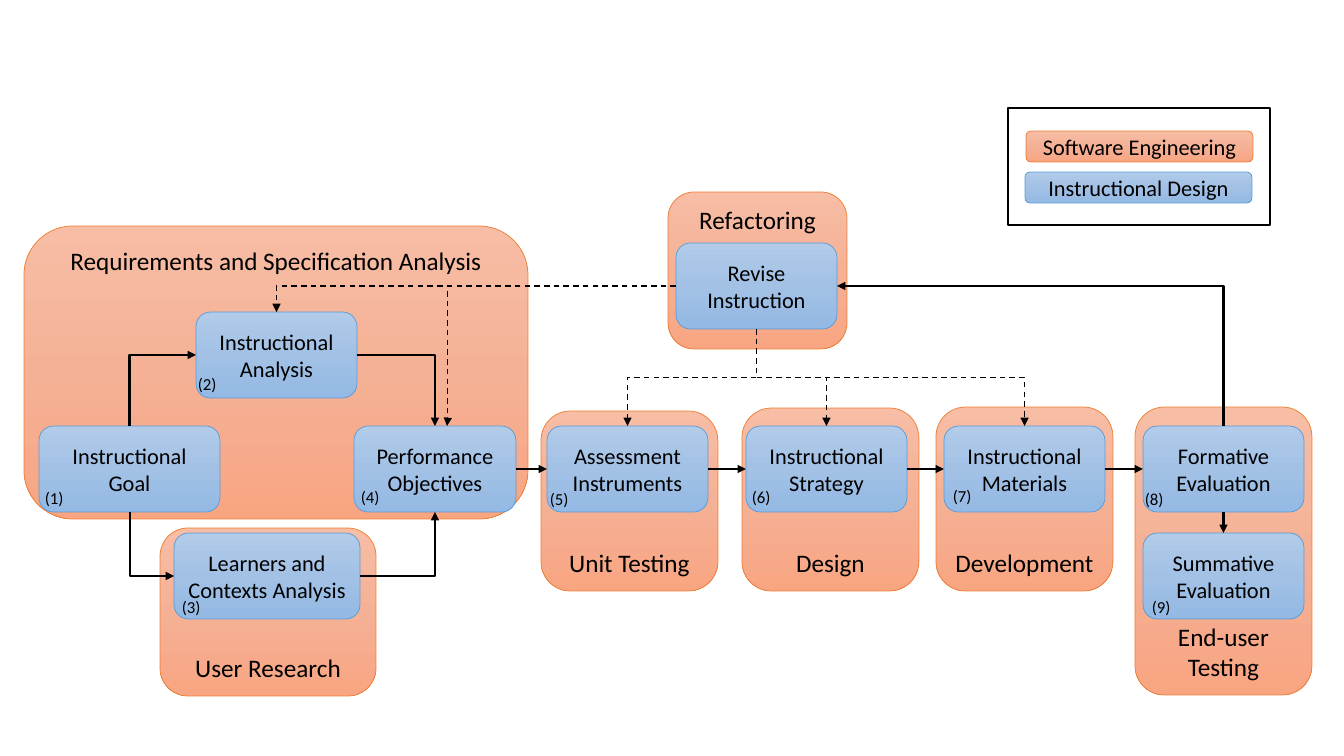
from copy import deepcopy

from lxml.etree import SubElement
from pptx import Presentation
from pptx.dml.color import RGBColor
from pptx.enum.dml import MSO_LINE
from pptx.enum.shapes import MSO_CONNECTOR, MSO_SHAPE
from pptx.enum.text import MSO_ANCHOR, MSO_AUTO_SIZE, PP_ALIGN
from pptx.oxml.ns import qn
from pptx.util import Pt

SCALE = 914400 / 100.8
FONT = "Calibri"
INK = {"black": "000000", "white": "FFFFFF"}
TONES = {
    "orange": {"fade": ["F7BDA5", "F5B196", "F8A582"], "edge": "ED7D31"},
    "blue": {"fade": ["B1CBE9", "A3C1E5", "93B9E4"], "edge": "5B9BD5"},
}
TOP, LEFT, BOTTOM, RIGHT = range(4)

PHASES = [
    ("Refactoring", 668, 192, 179, 157, MSO_ANCHOR.TOP),
    ("End-user Testing", 1135, 407, 177, 288, MSO_ANCHOR.BOTTOM),
    ("Development", 936, 407, 177, 184, MSO_ANCHOR.BOTTOM),
    ("Design", 742, 408, 177, 183, MSO_ANCHOR.BOTTOM),
    ("Unit Testing", 541, 411, 177, 180, MSO_ANCHOR.BOTTOM),
    ("Requirements and Specification Analysis", 24, 226, 504, 293, MSO_ANCHOR.TOP),
    ("User Research", 160, 528, 216, 168, MSO_ANCHOR.BOTTOM),
]
STEPS = {
    "goal": ("Instructional Goal", 39, 426, 181),
    "study": ("Instructional Analysis", 196, 312, 161),
    "learners": ("Learners and Contexts Analysis", 174, 533, 186),
    "tests": ("Assessment Instruments", 547, 426, 161),
    "plan": ("Instructional Strategy", 746, 426, 161),
    "goods": ("Instructional Materials", 944, 426, 161),
    "trial": ("Formative Evaluation", 1143, 426, 161),
    "final": ("Summative Evaluation", 1143, 533, 161),
    "revise": ("Revise Instruction", 676, 243, 161),
    "targets": ("Performance Objectives", 354, 426, 162),
}
LINKS = [
    ("goal", TOP, "study", LEFT, 1, False),
    ("goal", BOTTOM, "learners", LEFT, 1, False),
    ("learners", RIGHT, "targets", BOTTOM, 1, False),
    ("study", RIGHT, "targets", TOP, 1, False),
    ("targets", RIGHT, "tests", LEFT, 0, False),
    ("tests", RIGHT, "plan", LEFT, 0, False),
    ("plan", RIGHT, "goods", LEFT, 0, False),
    ("goods", RIGHT, "trial", LEFT, 0, False),
    ("trial", BOTTOM, "final", TOP, 0, False),
    ("trial", TOP, "revise", RIGHT, 1, False),
    ("revise", LEFT, "study", TOP, 1, True),
    ("revise", BOTTOM, "tests", TOP, 2, True),
    ("revise", BOTTOM, "plan", TOP, 2, True),
    ("revise", BOTTOM, "goods", TOP, 2, True),
]
MARKS = [(35, 483), (188, 369), (172, 592), (351, 482), (540, 484),
         (742, 482), (943, 481), (1135, 484), (1142, 592)]


def px(*sizes):
    """Turn pixels into EMU."""
    return [round(size * SCALE) for size in sizes]


def color(name):
    """Give the colour for a hex string."""
    return RGBColor.from_string(name)


def write(shape, text, size, align):
    """Put formatted text in a shape."""
    para = shape.text_frame.paragraphs[0]
    para.text = text
    para.alignment = align
    for run in para.runs:
        run.font.size = Pt(size)
        run.font.name = FONT
        run.font.color.rgb = color(INK["black"])


def fade(shape, tones):
    """Fill a shape with a downward gradient of three tones."""
    shape.fill.gradient()
    shape.fill.gradient_angle = 270
    stops = shape._element.spPr.find(".//" + qn("a:gsLst"))
    stops.insert(1, deepcopy(stops[0]))
    for rank, (stop, tone) in enumerate(zip(shape.fill.gradient_stops, tones)):
        stop.color.rgb = color(tone)
        stop.position = rank / 2


def add_box(shapes, text, area, tone, size, anchor=MSO_ANCHOR.MIDDLE):
    """Add a rounded box with a gradient and centred text."""
    box = shapes.add_shape(MSO_SHAPE.ROUNDED_RECTANGLE, *px(*area))
    box.shadow.inherit = False
    fade(box, TONES[tone]["fade"])
    box.line.color.rgb = color(TONES[tone]["edge"])
    box.line.width = Pt(0.5)
    box.text_frame.word_wrap = True
    box.text_frame.vertical_anchor = anchor
    write(box, text, size, PP_ALIGN.CENTER)
    return box


def add_mark(shapes, text, left, top):
    """Add a step number."""
    mark = shapes.add_textbox(*px(left, top, 42, 30))
    mark.text_frame.word_wrap = False
    mark.text_frame.auto_size = MSO_AUTO_SIZE.SHAPE_TO_FIT_TEXT
    write(mark, text, 12, PP_ALIGN.LEFT)


def add_arrow(shapes, kind, dashed, end=(0, 0)):
    """Add a black arrow that is yet to be attached."""
    arrow = shapes.add_connector(kind, 0, 0, *px(*end))
    arrow.line.color.rgb = color(INK["black"])
    arrow.line.width = Pt(1 if dashed else 1.5)
    if dashed:
        arrow.line.dash_style = MSO_LINE.DASH
    props = arrow._element.spPr
    SubElement(props.find(qn("a:ln")), qn("a:tailEnd"), type="triangle")
    SubElement(props, qn("a:effectLst"))
    return arrow


def bend(arrow, bends, upright, ratio=0.5):
    """Shape an elbow by its number of bends and its first direction."""
    across = arrow.end_x - arrow.begin_x
    down = arrow.end_y - arrow.begin_y
    wide, high = abs(across), abs(down)
    mid_x = (arrow.begin_x + arrow.end_x) / 2
    mid_y = (arrow.begin_y + arrow.end_y) / 2
    if upright:
        turn = 90 if across * down < 0 else 270
        flips = (down < 0, across > 0) if turn == 90 else (down > 0, across < 0)
        wide, high = high, wide
    else:
        turn = 180 if across < 0 else 0
        flips = (False, (across < 0) != (down < 0))
    arrow.left, arrow.top = round(mid_x - wide / 2), round(mid_y - high / 2)
    arrow.width, arrow.height = wide, high
    frame = arrow._element.spPr.find(qn("a:xfrm"))
    frame.set("rot", str(turn * 60000))
    for name, flip in zip(("flipH", "flipV"), flips):
        frame.set(name, str(int(flip)))
    form = arrow._element.spPr.find(qn("a:prstGeom"))
    form.set("prst", f"bentConnector{bends + 1}")
    if bends == 2:
        rule = f"val {round(ratio * 100000)}"
        SubElement(form.find(qn("a:avLst")), qn("a:gd"), name="adj1", fmla=rule)


def link(shapes, start, side, goal, port, bends, dashed):
    """Join two boxes with an arrow."""
    kind = MSO_CONNECTOR.ELBOW if bends else MSO_CONNECTOR.STRAIGHT
    arrow = add_arrow(shapes, kind, dashed)
    arrow.begin_connect(start, side)
    arrow.end_connect(goal, port)
    if bends:
        bend(arrow, bends, side in (TOP, BOTTOM))


def add_key(shapes):
    """Add the framed legend."""
    frame = shapes.add_shape(MSO_SHAPE.RECTANGLE, *px(1008, 108, 262, 117))
    frame.shadow.inherit = False
    frame.fill.solid()
    frame.fill.fore_color.rgb = color(INK["white"])
    frame.line.color.rgb = color(INK["black"])
    frame.line.width = Pt(1)
    group = shapes.add_group_shape().shapes
    add_box(group, "Software Engineering", (1026, 131, 227, 31), "orange", 16)
    add_box(group, "Instructional Design", (1025, 172, 227, 31), "blue", 16)


def main():
    """Build the slide and save it."""
    deck = Presentation()
    deck.slide_width, deck.slide_height = px(1344, 756)
    shapes = deck.slides.add_slide(deck.slide_layouts[6]).shapes
    for text, *area, anchor in PHASES:
        add_box(shapes, text, area, "orange", 18, anchor)
    boxes = {name: add_box(shapes, text, (*area, 86), "blue", 16)
             for name, (text, *area) in STEPS.items()}
    for start, side, goal, port, bends, dashed in LINKS:
        link(shapes, boxes[start], side, boxes[goal], port, bends, dashed)
    branch = add_arrow(shapes, MSO_CONNECTOR.ELBOW, True, (447, 426))
    branch.begin_connect(boxes["revise"], LEFT)
    bend(branch, 2, False, 0.997)
    for count, spot in enumerate(MARKS, 1):
        add_mark(shapes, f"({count})", *spot)
    add_key(shapes)
    deck.save("out.pptx")


main()
